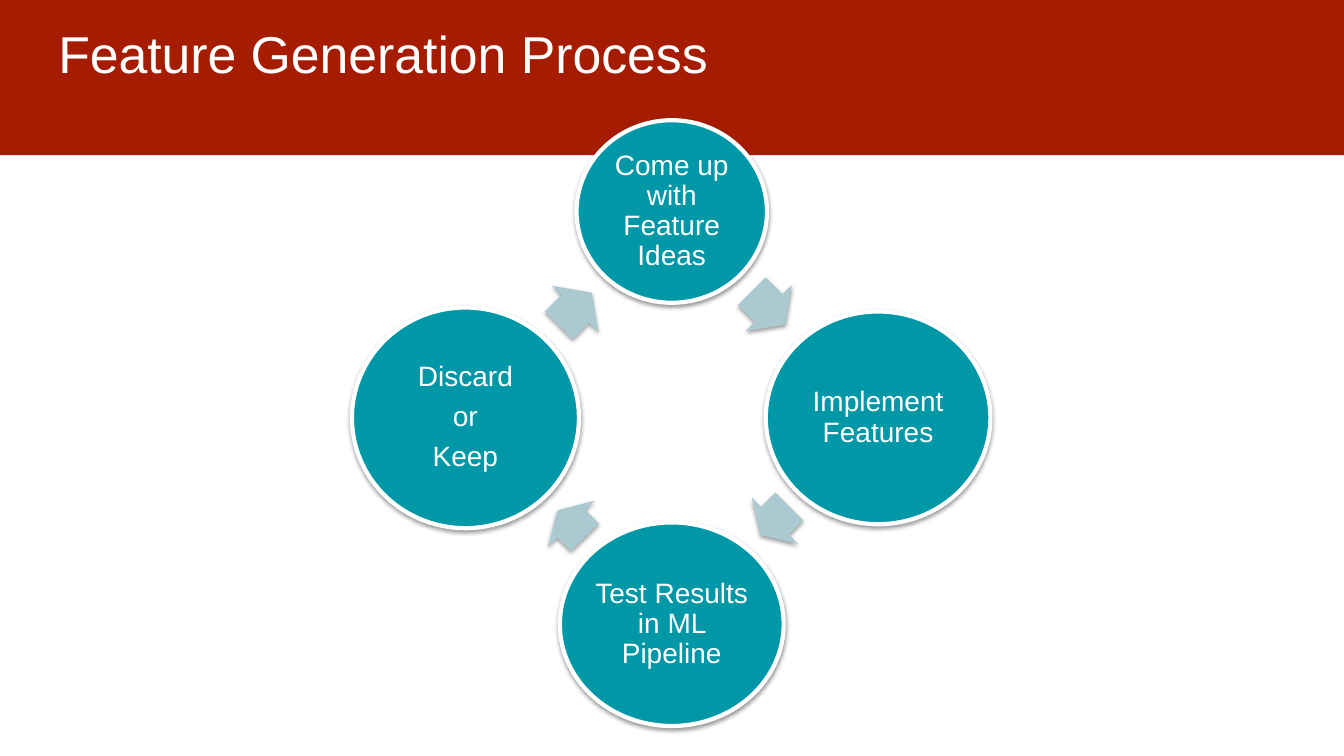
"""Build the Feature Generation Process slide: four steps in a cycle."""
import math

from lxml import etree
from pptx import Presentation
from pptx import util as u
from pptx.dml.color import RGBColor
from pptx.enum import shapes, text
from pptx.oxml import ns

RED = RGBColor(0xA6, 0x1C, 0x00)
TEAL = RGBColor(0x00, 0x97, 0xA7)
PALE_BLUE = RGBColor(0xAB, 0xC9, 0xD0)
WHITE = RGBColor(0xFF, 0xFF, 0xFF)


def add_filled(kind, left, top, width, height, color):
    shape = slide.shapes.add_shape(kind, u.Cm(left), u.Cm(top), u.Cm(width), u.Cm(height))
    shape.shadow.inherit = False
    shape.fill.solid()
    shape.fill.fore_color.rgb = color
    shape.line.fill.background()
    return shape


def add_shadow(shape):
    effects = shape._element.spPr.find(ns.qn("a:effectLst"))
    shadow = etree.SubElement(effects, ns.qn("a:outerShdw"), blurRad=str(u.Pt(3.1)),
                              dist=str(u.Pt(1.6)), dir="5400000", rotWithShape="0")
    color = etree.SubElement(shadow, ns.qn("a:srgbClr"), val="000000")
    etree.SubElement(color, ns.qn("a:alpha"), val="38000")


presentation = Presentation()
presentation.slide_width, presentation.slide_height = u.Cm(33.87), u.Cm(19.05)
slide = presentation.slides.add_slide(presentation.slide_layouts[6])

add_filled(shapes.MSO_SHAPE.RECTANGLE, -0.05, -0.1, 33.93, 4.01, RED)

title = slide.shapes.add_textbox(u.Cm(1.14), u.Cm(0.23), u.Cm(31.55), u.Cm(2.11))
title_frame = {"word_wrap": True, "margin_left": u.Cm(0.33), "margin_right": u.Cm(0.33),
               "margin_top": u.Cm(0.33), "margin_bottom": u.Cm(0.33)}
for name, value in title_frame.items():
    setattr(title.text_frame, name, value)
title.text_frame.text = "Feature Generation Process"
title_font = title.text_frame.paragraphs[0].font
for name, value in {"name": "Arial", "size": u.Pt(37)}.items():
    setattr(title_font, name, value)
title_font.color.rgb = WHITE

CENTER_X, CENTER_Y, RADIUS = 16.93, 10.53, 5.2
ARROW_HEIGHT = 1.65
steps = [
    ("Come up with Feature Ideas", 4.8, 4.6, 0.08, 1.19, 2.44, -2.77),
    ("Implement Features", 5.66, 5.36, 0.08, 1.02, 2.6, 2.59),
    ("Test Results in ML Pipeline", 5.64, 5.13, 0, 0.97, -2.53, 2.67),
    ("Discard\nor\nKeep", 5.72, 5.56, 0, 1.17, -2.43, -2.74),
]
paragraph_format = {"alignment": text.PP_ALIGN.CENTER, "line_spacing": 0.9,
                    "space_after": u.Pt(7)}

for index, (label, width, height, side, arrow_length, arrow_x, arrow_y) in enumerate(steps):
    angle = math.radians(90 * index)
    circle = add_filled(shapes.MSO_SHAPE.OVAL,
                        CENTER_X + RADIUS * math.sin(angle) - width / 2,
                        CENTER_Y - RADIUS * math.cos(angle) - height / 2,
                        width, height, TEAL)
    circle.line.color.rgb = WHITE
    circle.line.width = u.Pt(3)
    add_shadow(circle)
    frame_format = {"text": label, "word_wrap": True,
                    "vertical_anchor": text.MSO_ANCHOR.MIDDLE,
                    "margin_left": u.Cm(side), "margin_right": u.Cm(side),
                    "margin_top": u.Cm(0.08), "margin_bottom": u.Cm(0.08)}
    for name, value in frame_format.items():
        setattr(circle.text_frame, name, value)
    for paragraph in circle.text_frame.paragraphs:
        for name, value in paragraph_format.items():
            setattr(paragraph, name, value)
        for name, value in {"name": "Arial", "size": u.Pt(20)}.items():
            setattr(paragraph.font, name, value)
        paragraph.font.color.rgb = WHITE

    arrow = add_filled(shapes.MSO_SHAPE.RIGHT_ARROW,
                       CENTER_X + arrow_x - arrow_length / 2,
                       CENTER_Y + arrow_y - ARROW_HEIGHT / 2,
                       arrow_length, ARROW_HEIGHT, PALE_BLUE)
    arrow.rotation = 45 + 90 * index
    arrow.adjustments[0] = 0.6
    arrow.adjustments[1] = 0.5
    add_shadow(arrow)

presentation.save("out.pptx")
